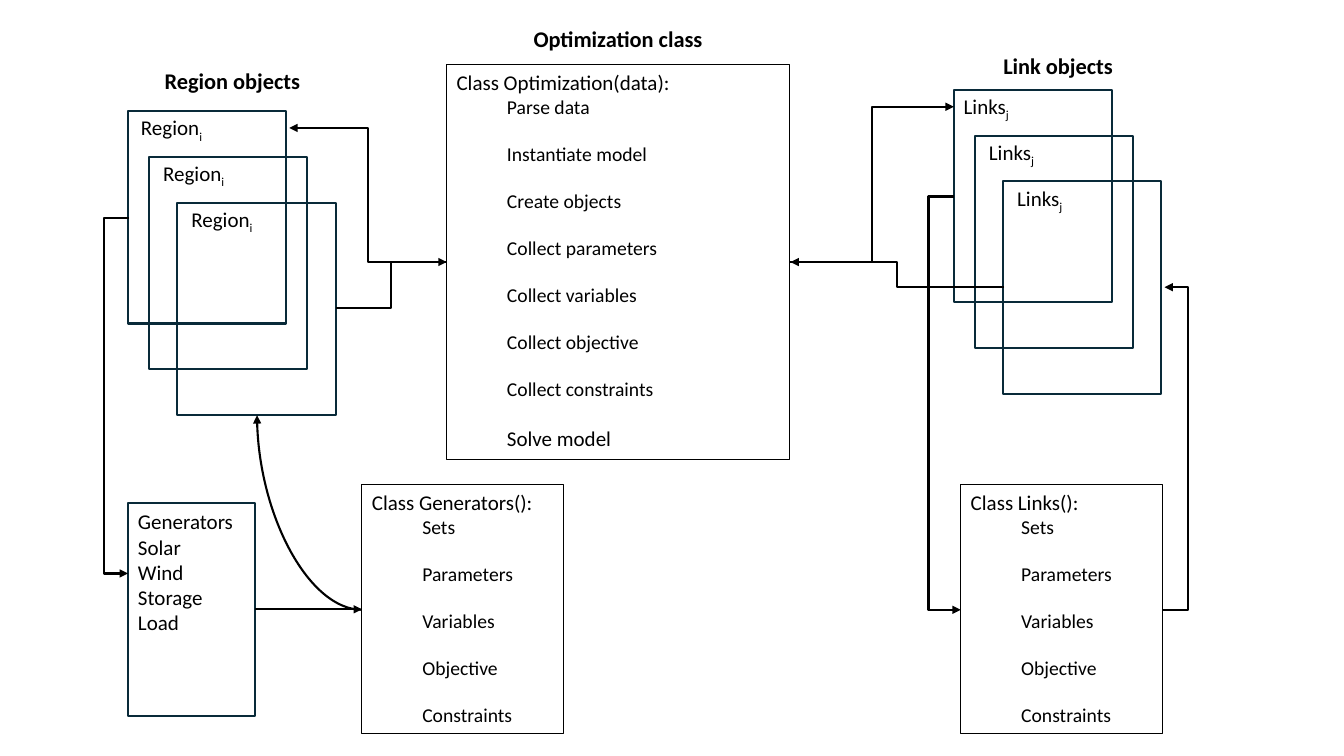
"""Class diagram linking region and link objects with the optimization class."""
from lxml import etree
from pptx import Presentation
from pptx import util as u
from pptx.dml import color
from pptx.enum import shapes, text
from pptx.oxml import ns

INK, NAVY = "000000", "092A39"
RECT = shapes.MSO_SHAPE.RECTANGLE


def outline(item, hex_colour, width):
    item.line.color.rgb = color.RGBColor.from_string(hex_colour)
    item.line.width = u.Pt(width)


def write(frame, content, size=15, bold=False, align=text.PP_ALIGN.LEFT,
          level=0, before=0, sub="", hex_colour=INK):
    frame.word_wrap = True
    frame.auto_size = text.MSO_AUTO_SIZE.NONE
    frame.vertical_anchor = text.MSO_ANCHOR.TOP
    paragraph = frame.add_paragraph() if frame.text else frame.paragraphs[0]
    paragraph.alignment = align
    paragraph.level = level
    paragraph.space_before = u.Pt(before)
    for part in filter(None, (content, sub)):
        run = paragraph.add_run()
        run.text = part
        run.font.name = "Calibri"
        run.font.size = u.Pt(size)
        run.font.bold = bold
        run.font.color.rgb = color.RGBColor.from_string(hex_colour)
        if part == sub:
            run._r.get_or_add_rPr().set("baseline", "-25000")


prs = Presentation()
prs.slide_width, prs.slide_height = u.Inches(13.33), u.Inches(7.5)
slide = prs.slides.add_slide(prs.slide_layouts[5])

heading = slide.shapes.title
heading.left, heading.top, heading.width, heading.height = map(
    u.Inches, (4.43, 0.2, 3.4, 0.37))
write(heading.text_frame, "Optimization class", size=16, bold=True,
      align=text.PP_ALIGN.CENTER)

stacks = [
    ("Region objects", 0.62, "Region", "i", 1.27, 1.1, (0.03, 0.04, 0.04)),
    ("Link objects", 0.47, "Links", "j", 9.46, 0.89, (0, 0.04, 0.04)),
]
for caption, caption_top, member, index, left, top, insets in stacks:
    caption_box = slide.shapes.add_textbox(
        *map(u.Inches, (left, caption_top, 2.07, 0.37)))
    write(caption_box.text_frame, caption, size=16, bold=True,
          align=text.PP_ALIGN.CENTER)
    stack = slide.shapes.add_group_shape()
    for row, (shift, inset) in enumerate(zip((0, 0.21, 0.49), insets)):
        x, y = left + shift, top + row * 0.455
        card = stack.shapes.add_shape(RECT, *map(u.Inches, (x, y, 1.57, 2.11)))
        card.shadow.inherit = False
        card.fill.background()
        outline(card, NAVY, 1.5)
        member_label = stack.shapes.add_textbox(
            *map(u.Inches, (x + inset, y - 0.01, 1.57, 0.35)))
        write(member_label.text_frame, member, sub=index)

parts = ["Sets", "Parameters", "Variables", "Objective", "Constraints"]
steps = ["Parse data", "Instantiate model", "Create objects",
         "Collect parameters", "Collect variables", "Collect objective",
         "Collect constraints", "Solve model"]
classes = [
    ("Class Generators():", parts, (3.59, 4.81, 2, 2.47)),
    ("Class Links():", parts, (9.53, 4.81, 2, 2.47)),
    ("Class Optimization(data):", steps, (4.43, 0.64, 3.4, 3.92)),
]
class_boxes = []
for signature, members, place in classes:
    class_box = slide.shapes.add_shape(RECT, *map(u.Inches, place))
    class_box.shadow.inherit = False
    class_box.fill.background()
    outline(class_box, INK, 0.75)
    write(class_box.text_frame, signature)
    for number, member in enumerate(members):
        size = 15 if member == "Solve model" else 14
        write(class_box.text_frame, member, size=size, level=1,
              before=size * 1.2 if number else 0)
    class_boxes.append(class_box)

assets_box = slide.shapes.add_shape(
    RECT, *map(u.Inches, (1.27, 4.99, 1.26, 2.11)))
assets_box.shadow.inherit = False
assets_box.fill.background()
outline(assets_box, NAVY, 1.5)
assets = slide.shapes.add_textbox(*map(u.Inches, (1.27, 5, 1.28, 1.36)))
for asset in ("Generators", "Solar", "Wind", "Storage", "Load"):
    write(assets.text_frame, asset)

STRAIGHT, ELBOW, CURVE = (shapes.MSO_CONNECTOR.STRAIGHT,
                          shapes.MSO_CONNECTOR.ELBOW,
                          shapes.MSO_CONNECTOR.CURVE)
flows = [
    (ELBOW, (1.28, 2.16), (1.27, 5.69), 1.03),
    (ELBOW, (9.46, 1.95), (9.53, 6.05), 9.21),
    (ELBOW, (11.53, 6.05), (11.55, 2.85), 11.78),
    (ELBOW, (4.43, 2.6), (2.87, 1.27), 3.65),
    (ELBOW, (3.33, 3.06), (4.43, 2.6), 3.88),
    (ELBOW, (7.84, 2.6), (9.46, 1.06), 8.65),
    (ELBOW, (9.96, 2.85), (7.84, 2.6), 8.9),
    (CURVE, (3.59, 6.05), (2.55, 4.12), None),
    (STRAIGHT, (2.53, 6.05), (3.59, 6.05), None),
]
for kind, start, end, turn in flows:
    flow = slide.shapes.add_connector(kind, *map(u.Inches, start + end))
    outline(flow, INK, 1.5)
    etree.SubElement(flow.line._get_or_add_ln(), ns.qn("a:tailEnd"),
                     type="triangle")
    properties = flow._element.spPr
    etree.SubElement(properties, ns.qn("a:effectLst"))
    geometry = properties.find(ns.qn("a:prstGeom"))
    if kind == ELBOW:
        share = (turn - start[0]) / (end[0] - start[0])
        guides = geometry.find(ns.qn("a:avLst"))
        etree.SubElement(guides, ns.qn("a:gd"), name="adj1",
                         fmla=f"val {round(share * 100000)}")
    elif kind == CURVE:
        geometry.set("prst", "curvedConnector2")
    else:
        flow.begin_connect(assets_box, 3)
        flow.end_connect(class_boxes[0], 1)

prs.save("out.pptx")
